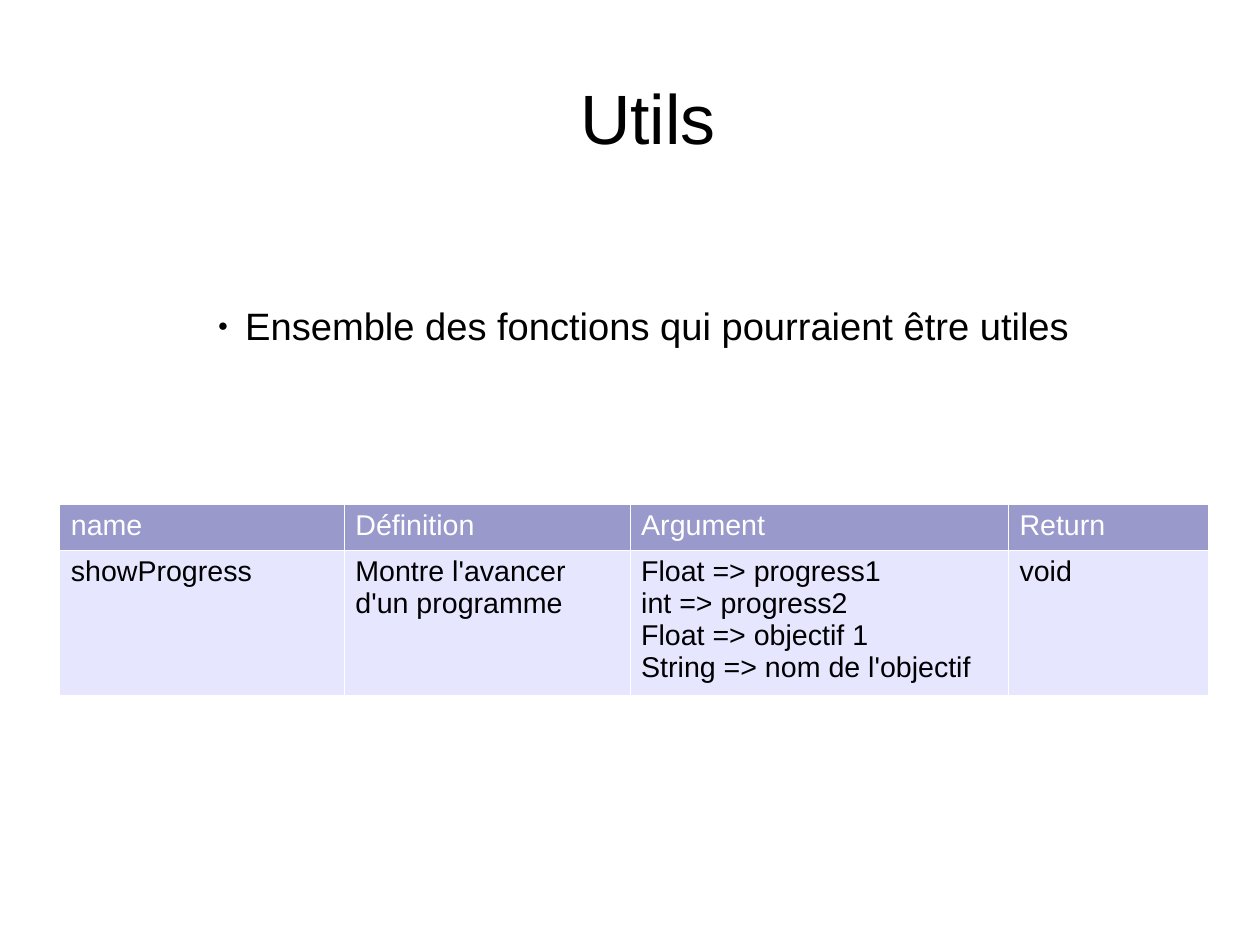
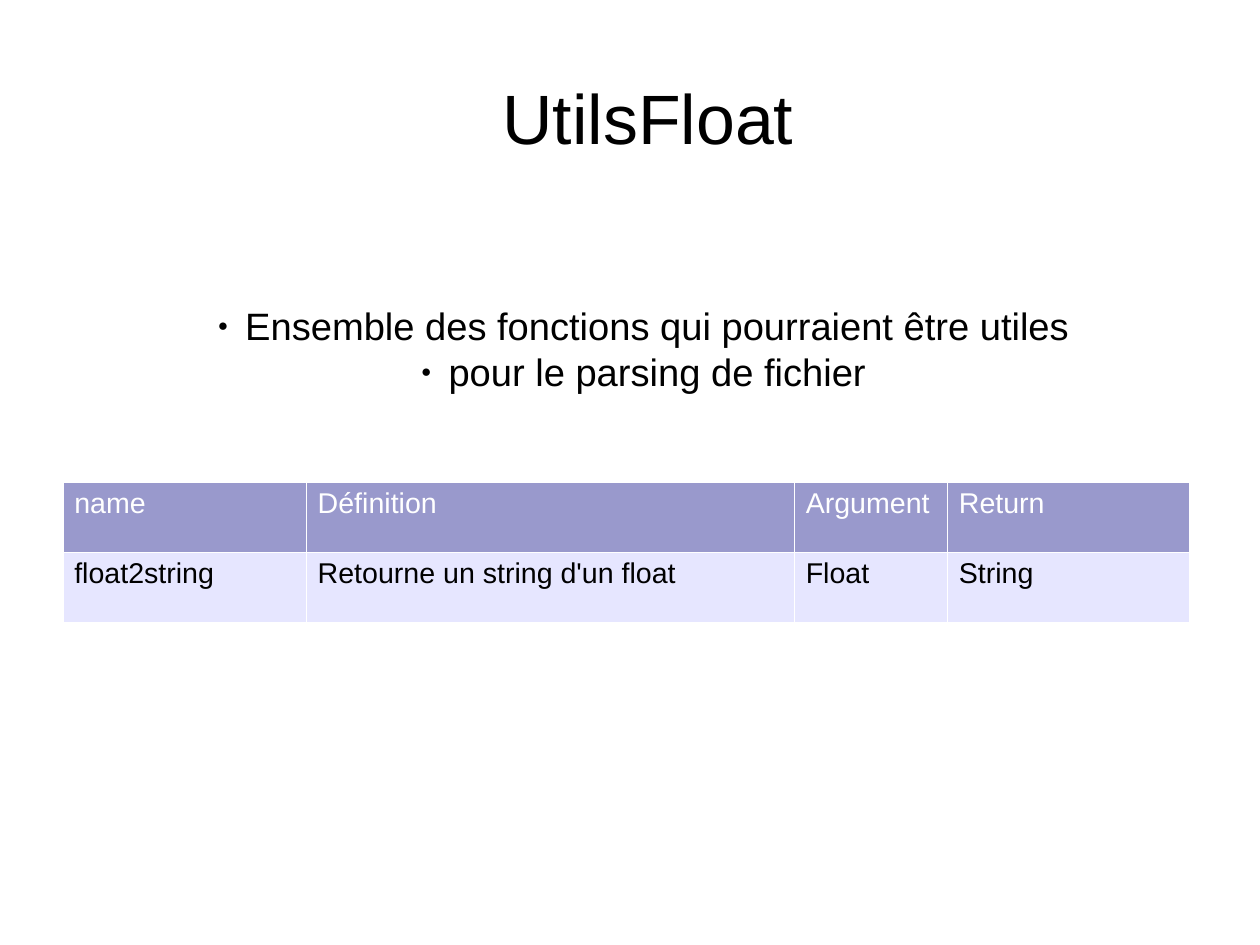
from dataclasses import dataclass

from lxml.etree import SubElement
from pptx import Presentation
from pptx.dml.color import RGBColor as Color
from pptx.enum.text import MSO_ANCHOR as Anchor, MSO_AUTO_SIZE as AutoSize, PP_ALIGN as Align
from pptx.oxml import parse_xml
from pptx.oxml.ns import nsdecls, qn
from pptx.util import Cm, Inches, Pt


@dataclass(frozen=True)
class Theme:
    font: str = "Arial"
    ink: str = "000000"
    paper: str = "FFFFFF"
    header_fill: str = "9999CC"
    body_fill: str = "E6E6FF"
    title_size: int = 44
    bullet_size: int = 24
    table_size: int = 18
    bullet_percent: int = 45
    border_width: float = 0.06


THEME = Theme()
HEADERS = ("name", "Définition", "Argument", "Return")
TITLE_BOX = (0.55, 0.33, 10.24, 1.38)


def set_margins(target, x, y):
    target.margin_left = target.margin_right = Inches(x)
    target.margin_top = target.margin_bottom = Inches(y)


def add_bullet(para):
    """Give a paragraph a small round bullet with a hanging indent."""
    properties = para._p.get_or_add_pPr()
    properties.set("marL", str(Inches(0.24)))
    properties.set("indent", str(-Inches(0.24)))
    color = SubElement(properties, qn("a:buClr"))
    SubElement(color, qn("a:srgbClr"), val=THEME.ink)
    SubElement(properties, qn("a:buSzPct"), val=str(THEME.bullet_percent * 1000))
    SubElement(properties, qn("a:buFont"), typeface=THEME.font)
    SubElement(properties, qn("a:buChar"), char="●")


def write(frame, text, size, color=THEME.ink, align=Align.LEFT, bullet=False):
    """Fill a text frame, one paragraph for each line of text."""
    for index, line in enumerate(text.split("\n")):
        para = frame.add_paragraph() if index else frame.paragraphs[0]
        para.alignment = align
        if bullet:
            add_bullet(para)
        span = para.add_run()
        span.text = line
        span.font.name = THEME.font
        span.font.size = Pt(size)
        span.font.color.rgb = Color.from_string(color)


def place_title(page, text, box):
    title = page.shapes.title
    title.left, title.top, title.width, title.height = map(Inches, box)
    frame = title.text_frame
    set_margins(frame, 0, 0)
    frame.word_wrap = True
    frame.auto_size = AutoSize.NONE
    frame.vertical_anchor = Anchor.MIDDLE
    write(frame, text, THEME.title_size, align=Align.CENTER)


def place_bullets(page, text, box):
    frame = page.shapes.add_textbox(*map(Inches, box)).text_frame
    set_margins(frame, 0.1, 0.05)
    frame.word_wrap = False
    frame.auto_size = AutoSize.SHAPE_TO_FIT_TEXT
    write(frame, text, THEME.bullet_size, align=Align.CENTER, bullet=True)


def add_borders(cell):
    properties = cell._tc.get_or_add_tcPr()
    for index, side in enumerate("LRTB"):
        properties.insert(index, parse_xml(
            f'<a:ln{side} {nsdecls("a")} w="{Pt(THEME.border_width)}"><a:solidFill>'
            f'<a:srgbClr val="{THEME.paper}"/></a:solidFill></a:ln{side}>'))


def place_table(page, values, left, top, widths, heights):
    rows = (HEADERS, values)
    table = page.shapes.add_table(
        len(rows), len(HEADERS), Inches(left), Inches(top),
        Inches(sum(widths)), Inches(sum(heights))).table
    for column, width in zip(table.columns, widths):
        column.width = Inches(width)
    styles = ((THEME.header_fill, THEME.paper), (THEME.body_fill, THEME.ink))
    for r, (texts, height, (fill, color)) in enumerate(zip(rows, heights, styles)):
        table.rows[r].height = Inches(height)
        for c, text in enumerate(texts):
            cell = table.cell(r, c)
            set_margins(cell, 0.1, 0.05)
            cell.fill.solid()
            cell.fill.fore_color.rgb = Color.from_string(fill)
            add_borders(cell)
            write(cell.text_frame, text, THEME.table_size, color)


def add_function_page(deck, title, bullets, bullet_height, **table):
    """Add a page with a title, a bulleted summary and a function table."""
    page = deck.slides.add_slide(deck.slide_layouts[5])
    place_title(page, title, TITLE_BOX)
    place_table(page, **table)
    place_bullets(page, bullets, (1.78, 2.6, 7.7, bullet_height))


def main():
    deck = Presentation()
    # Page of 28 by 21 cm, no longer the preset screen format
    deck.slide_width, deck.slide_height = Cm(28), Cm(21)
    deck.element.sldSz.attrib.pop("type", None)
    background = deck.slide_master.background.fill
    background.solid()
    background.fore_color.rgb = Color.from_string(THEME.paper)

    summary = "Ensemble des fonctions qui pourraient être utiles"
    # General helpers
    add_function_page(
        deck, "Utils", summary, 0.47,
        values=("showProgress", "Montre l'avancer d'un programme",
                "Float => progress1\nint => progress2\nFloat => objectif 1\n"
                "String => nom de l'objectif", "void"),
        left=0.52, top=4.41, widths=(2.49, 2.5, 3.31, 1.75), heights=(0.4, 1.27))
    # Float helpers
    add_function_page(
        deck, "UtilsFloat", summary + "\npour le parsing de fichier", 0.85,
        values=("float2string", "Retourne un string d'un float", "Float", "String"),
        left=0.55, top=4.22, widths=(2.13, 4.27, 1.34, 2.11), heights=(0.61, 0.61))
    deck.save("out.pptx")


if __name__ == "__main__":
    main()
